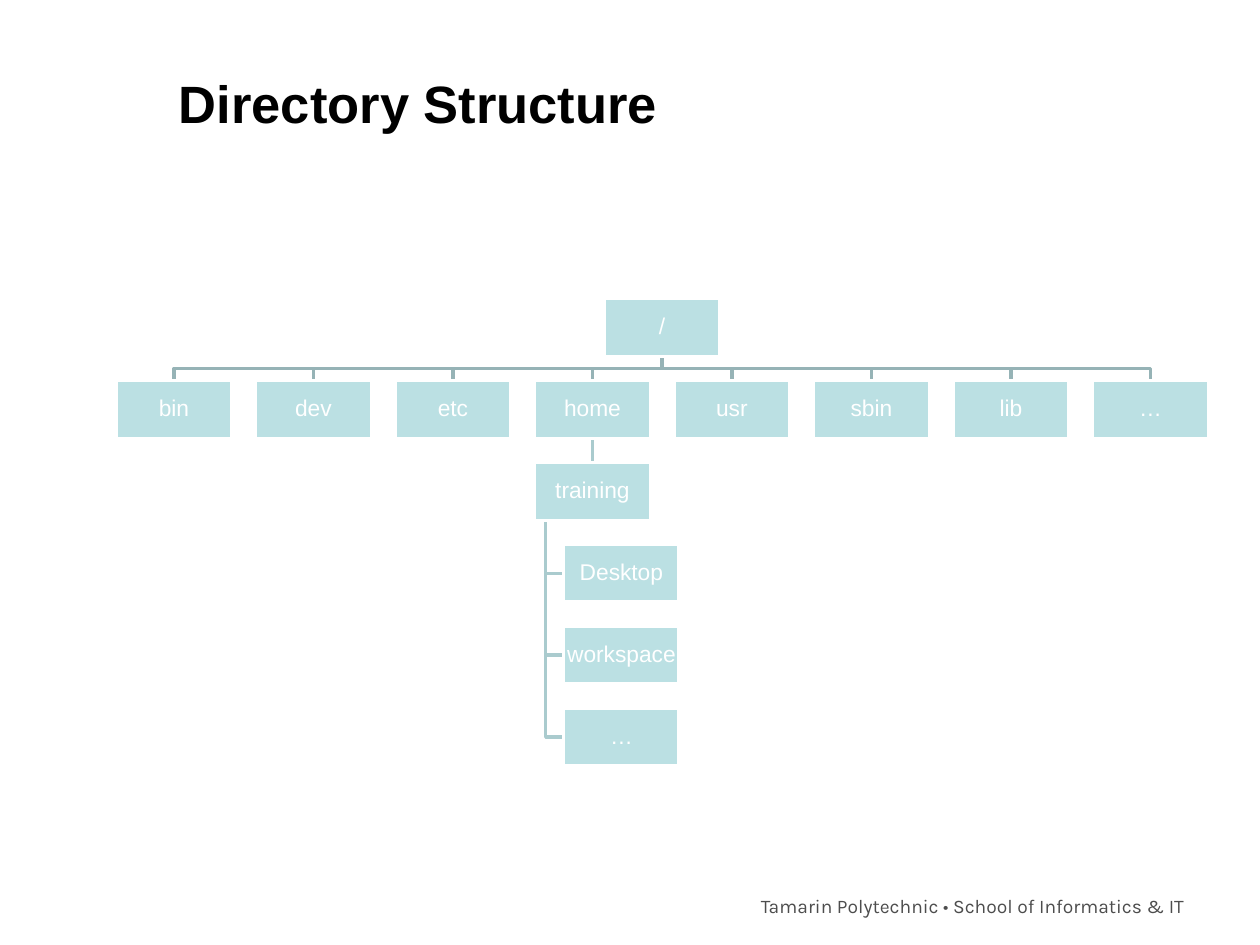
from lxml import etree
from pptx import Presentation
from pptx.dml.color import RGBColor
from pptx.enum.shapes import MSO_CONNECTOR, MSO_SHAPE
from pptx.enum.text import MSO_ANCHOR, PP_ALIGN
from pptx.oxml.ns import qn
from pptx.util import Inches, Pt

RECT, STRAIGHT = MSO_SHAPE.RECTANGLE, MSO_CONNECTOR.STRAIGHT
MIDDLE, TOP = MSO_ANCHOR.MIDDLE, MSO_ANCHOR.TOP
LEFT, CENTER, RIGHT = PP_ALIGN.LEFT, PP_ALIGN.CENTER, PP_ALIGN.RIGHT

BLACK = RGBColor(0x00, 0x00, 0x00)
WHITE = RGBColor(0xFF, 0xFF, 0xFF)
GREY = RGBColor(0x4D, 0x4D, 0x4D)
BOX = RGBColor(0xBB, 0xE0, 0xE3)
BRANCH = RGBColor(0x96, 0xB3, 0xB6)
TWIG = RGBColor(0xAA, 0xCB, 0xCE)

BOX_W, BOX_H = 0.92, 0.46
FIRST_X, LAST_X = 0.92, 8.67
ROOT_Y, ROW_STEP = 2.37, 0.65
INDENT, STEM = 0.23, 0.09
FOLDERS = ["bin", "dev", "etc", "home", "usr", "sbin", "lib", "…"]
TRAINING_ITEMS = ["Desktop", "workspace", "…"]


class TreeSlide:
    """Draw a directory tree in one style on the current slide."""

    def __init__(self, prs):
        self.s = prs.slides.add_slide(prs.slide_layouts[5])
        self.font = "Arial"

    def add_text(self, tf, text, size, color, align, anchor, font=None, bold=False):
        tf.word_wrap = True
        tf.vertical_anchor = anchor
        p = tf.paragraphs[0]
        p.alignment = align
        r = p.add_run()
        r.text = text
        r.font.name = font or self.font
        r.font.size = Pt(size)
        r.font.bold = bold
        r.font.color.rgb = color
        return p

    def title(self, text, x, y, w, h):
        sp = self.s.shapes.title
        sp.left, sp.top, sp.width, sp.height = map(Inches, (x, y, w, h))
        self.add_text(sp.text_frame, text, 30, BLACK, LEFT, MIDDLE, bold=True)

    def footer(self, text, x, y, w, h):
        sp = self.s.shapes.add_textbox(*map(Inches, (x, y, w, h)))
        self.add_text(sp.text_frame, text, 11, GREY, RIGHT, TOP, font="Karla")

    def box(self, text, x, y):
        sp = self.s.shapes.add_shape(RECT, *map(Inches, (x, y, BOX_W, BOX_H)))
        sp.shadow.inherit = False
        sp.fill.solid()
        sp.fill.fore_color.rgb = BOX
        self.outline(sp, WHITE)
        tf = sp.text_frame
        tf.margin_left = tf.margin_right = Inches(0.01)
        tf.margin_top = tf.margin_bottom = Inches(0.01)
        p = self.add_text(tf, text, 13, WHITE, CENTER, MIDDLE)
        p.line_spacing = 0.9

    def outline(self, sp, color):
        sp.line.color.rgb = color
        sp.line.width = Pt(2)

    def elbow(self, points, color):
        start, *rest = [(Inches(x), Inches(y)) for x, y in points]
        builder = self.s.shapes.build_freeform(*start)
        builder.add_line_segments(rest, close=False)
        sp = builder.convert_to_shape()
        sp.shadow.inherit = False
        sp.fill.background()
        self.outline(sp, color)

    def line(self, x1, y1, x2, y2, color):
        sp = self.s.shapes.add_connector(STRAIGHT, *map(Inches, (x1, y1, x2, y2)))
        self.outline(sp, color)
        etree.SubElement(sp._element.spPr, qn("a:effectLst"))


def main():
    prs = Presentation()
    prs.slide_width, prs.slide_height = Inches(10), Inches(7.5)
    slide = TreeSlide(prs)
    slide.footer("Tamarin Polytechnic • School of Informatics & IT", 5.25, 7.05, 4.25, 0.28)
    slide.title("Directory Structure", 1.32, 0.3, 8.25, 1.03)

    col_step = (LAST_X - FIRST_X) / (len(FOLDERS) - 1)
    folder_xs = [FIRST_X + i * col_step for i in range(len(FOLDERS))]
    root_x = (FIRST_X + LAST_X) / 2
    folder_y, training_y = ROOT_Y + ROW_STEP, ROOT_Y + 2 * ROW_STEP
    home_x = folder_xs[FOLDERS.index("home")]
    item_x = home_x + INDENT
    item_ys = [training_y + (i + 1) * ROW_STEP for i in range(len(TRAINING_ITEMS))]

    root_mid, root_bottom = root_x + BOX_W / 2, ROOT_Y + BOX_H
    bus_y = (root_bottom + folder_y) / 2
    for x in folder_xs:
        mid = x + BOX_W / 2
        slide.elbow([(root_mid, root_bottom), (root_mid, bus_y),
                     (mid, bus_y), (mid, folder_y)], BRANCH)
    home_mid = home_x + BOX_W / 2
    slide.line(home_mid, folder_y + BOX_H, home_mid, training_y, TWIG)
    stem_x = home_x + STEM
    for y in item_ys:
        mid = y + BOX_H / 2
        slide.elbow([(stem_x, training_y + BOX_H), (stem_x, mid), (item_x, mid)], TWIG)

    slide.box("/", root_x, ROOT_Y)
    for name, x in zip(FOLDERS, folder_xs):
        slide.box(name, x, folder_y)
    slide.box("training", home_x, training_y)
    for name, y in zip(TRAINING_ITEMS, item_ys):
        slide.box(name, item_x, y)

    prs.save("out.pptx")


if __name__ == "__main__":
    main()
